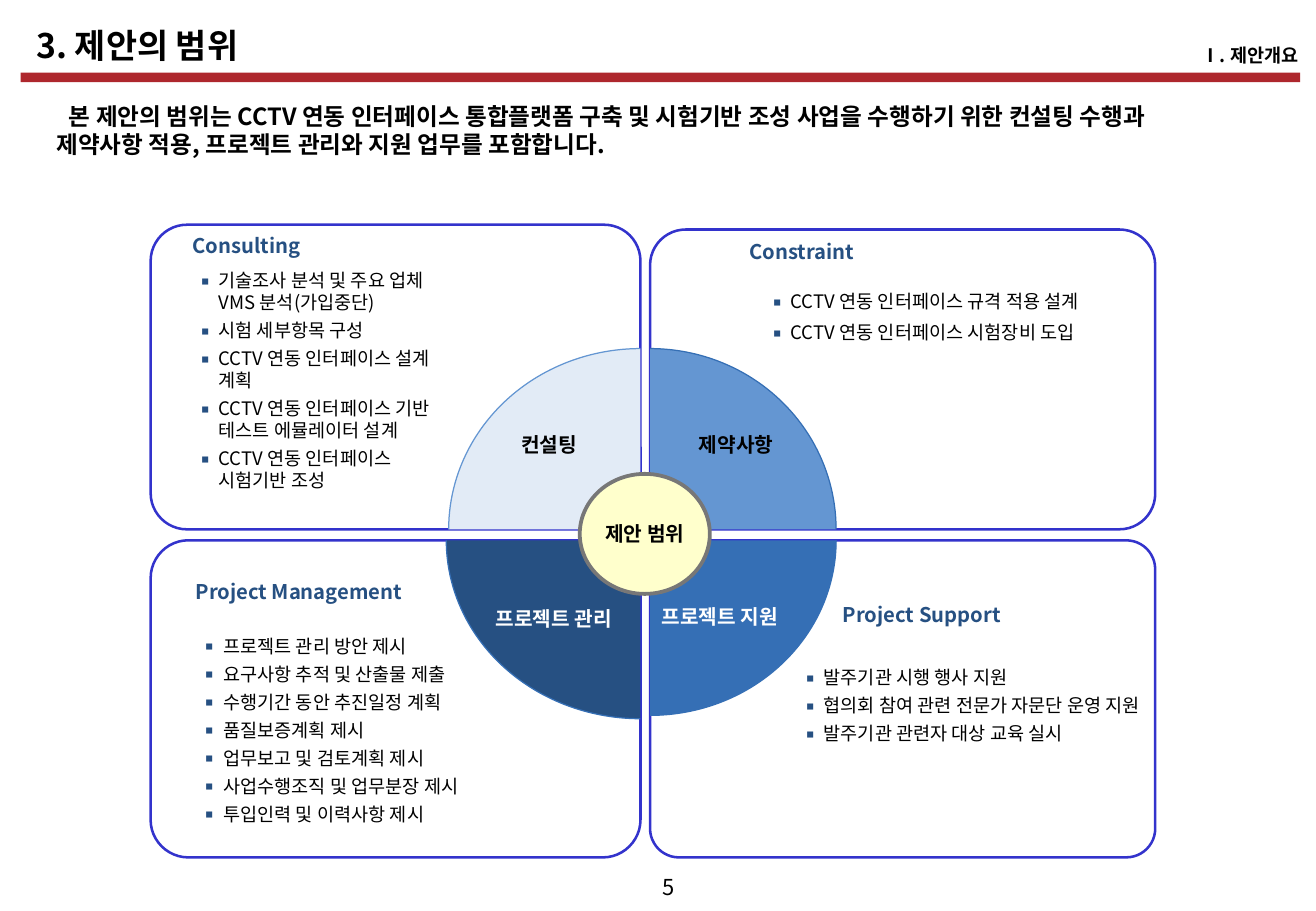
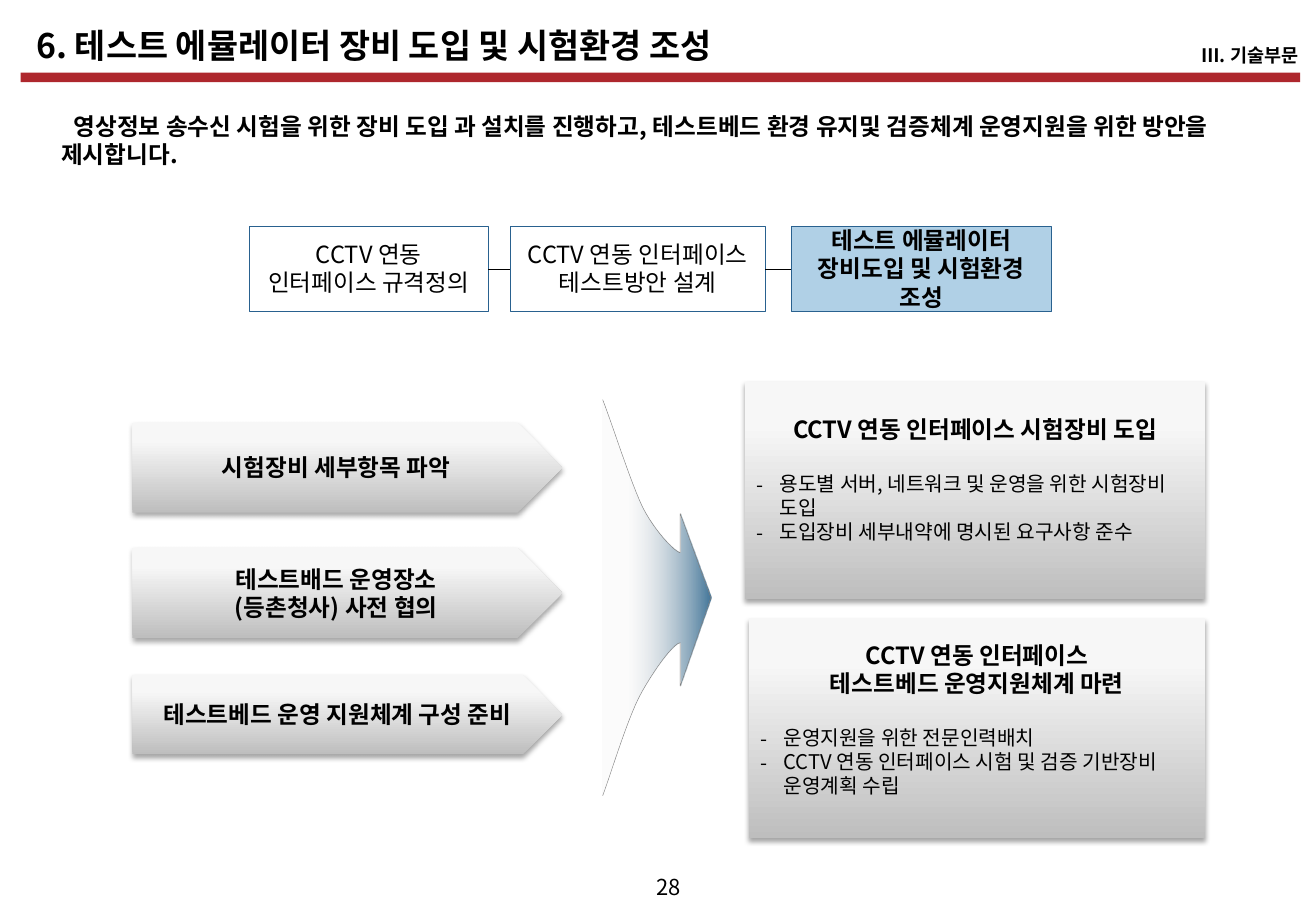
from dataclasses import dataclass
from typing import NamedTuple

from lxml import etree
from pptx import Presentation
from pptx import util as u
from pptx.dml import color as dml
from pptx.enum import shapes, text
from pptx.oxml import ns

FONT = "Noto Sans CJK KR"
LINE_PITCH = 1.185
COLORS = {
    "black": "000000", "white": "FFFFFF", "band": "AE272D", "frame": "3333CC",
    "navy": "265082", "blue": "356FB5", "sky": "6496D2", "ice": "E2EBF6",
    "hub": "FFFFCC", "hub_edge": "777777", "step_edge": "29618F", "step_now": "B0D0E6",
    "silver": "BEBEBE", "pearl": "F7F7F7", "snow": "F8F8F8",
    "mist": "D9D9D9", "steel": "417599", "funnel_edge": "808080",
}
CENTER, LEFT, RIGHT = text.PP_ALIGN.CENTER, text.PP_ALIGN.LEFT, text.PP_ALIGN.RIGHT
TOP, MIDDLE = text.MSO_ANCHOR.TOP, text.MSO_ANCHOR.MIDDLE
NO_INSET = (0, 0, 0, 0)
TEXT_INSET = (0.25, 0.13, 0.25, 0.13)
LIST_INSET = (0.2, 0.1, 0.2, 0.1)
STEP_INSET = (0.15, 0.1, 0.15, 0.12)


class Box(NamedTuple):
    left: float
    top: float
    width: float
    height: float

    def lengths(self) -> list:
        return [u.Cm(value) for value in self]


class Stop(NamedTuple):
    position: int
    color: str
    alpha: int = 100


@dataclass
class Para:
    text: str
    size: float = 12
    bold: bool = False
    color: str = "black"
    align: text.PP_ALIGN = LEFT
    spacing: float = 1.0
    before: float = 0
    margin: float = 0
    indent: float = 0
    bullet: str = ""


@dataclass
class Quadrant:
    heading: str
    heading_box: Box
    items: list
    list_box: Box
    frame: Box
    corner: float
    center: tuple
    radii: tuple
    start: int
    fill: str
    edge: str
    label: str
    label_at: tuple
    label_color: str
    spacing: float = 1.0
    before: float = 3.6


PANEL_STOPS = [Stop(0, "silver"), Stop(80, "pearl"), Stop(100, "snow")]
FUNNEL_STOPS = [Stop(23, "mist", 9), Stop(100, "steel")]

QUADRANTS = [
    Quadrant("Consulting", Box(3.78, 4.7, 7.82, 0.81),
             ["기술조사 분석 및 주요 업체 VMS 분석(가입중단)", "시험 세부항목 구성",
              "CCTV 연동 인터페이스 설계 계획", "CCTV 연동 인터페이스 기반 테스트 에뮬레이터 설계",
              "CCTV 연동 인터페이스 시험기반 조성"],
             Box(3.86, 5.54, 5.84, 5), Box(3.15, 4.7, 10.24, 6.37), 0.119,
             (13.39, 11.07), (4.01, 3.78), 180, "ice", "sky", "컨설팅", (11.48, 8.92), "black"),
    Quadrant("Constraint", Box(15.42, 4.83, 8, 0.81),
             ["CCTV 연동 인터페이스 규격 적용 설계", "CCTV 연동 인터페이스 시험장비 도입"],
             Box(15.82, 5.89, 7.98, 1.42), Box(13.59, 4.8, 10.56, 6.27), 0.119,
             (13.59, 11.07), (3.89, 3.78), 270, "sky", "blue", "제약사항", (15.39, 8.92), "black",
             1.2, 2.6),
    Quadrant("Project Management", Box(3.84, 11.95, 7.7, 0.76),
             ["프로젝트 관리 방안 제시", "요구사항 추적 및 산출물 제출", "수행기간 동안 추진일정 계획",
              "품질보증계획 제시", "업무보고 및 검토계획 제시", "사업수행조직 및 업무분장 제시",
              "투입인력 및 이력사항 제시"],
             Box(3.96, 13.18, 9.25, 4.34), Box(3.15, 11.3, 10.24, 6.63), 0.119,
             (13.39, 11.3), (4.06, 3.73), 90, "navy", "blue", "프로젝트 관리", (11.58, 12.55), "white"),
    Quadrant("Project Support", Box(17.37, 12.42, 7.16, 0.76),
             ["발주기관 시행 행사 지원", "협의회 참여 관련 전문가 자문단 운영 지원",
              "발주기관 관련자 대상 교육 실시"],
             Box(16.51, 13.84, 8.05, 1.9), Box(13.59, 11.3, 10.56, 6.63), 0.091,
             (13.59, 11.3), (3.89, 3.66), 0, "blue", "blue", "프로젝트 지원", (15.05, 12.52), "white"),
]


def rgb(name: str) -> dml.RGBColor:
    return dml.RGBColor.from_string(COLORS[name])


def add_node(parent, tag: str, **attributes):
    return etree.SubElement(parent, ns.qn(tag), {key: str(value) for key, value in attributes.items()})


def write(frame, paras: list, inset: tuple = TEXT_INSET, anchor=TOP) -> None:
    frame.word_wrap = True
    frame.auto_size = text.MSO_AUTO_SIZE.NONE
    frame.vertical_anchor = anchor
    (frame.margin_left, frame.margin_top,
     frame.margin_right, frame.margin_bottom) = [u.Cm(value) for value in inset]
    for index, para in enumerate(paras):
        line = frame.paragraphs[0] if index == 0 else frame.add_paragraph()
        line.text = para.text
        line.alignment = para.align
        line.line_spacing = u.Pt(round(para.size * LINE_PITCH * para.spacing, 1))
        line.space_before = u.Pt(para.before if index else 0)
        props = line._p.get_or_add_pPr()
        props.set("marL", str(u.Cm(para.margin)))
        props.set("indent", str(u.Cm(para.indent)))
        if para.bullet == "▪":
            add_node(add_node(props, "a:buClr"), "a:srgbClr", val=COLORS["navy"])
            add_node(props, "a:buSzPct", val=120000)
        if para.bullet:
            add_node(props, "a:buFont", typeface=FONT)
            add_node(props, "a:buChar", char=para.bullet)
        else:
            add_node(props, "a:buNone")
        font = line.font
        font.size, font.bold, font.name = u.Pt(para.size), para.bold, FONT
        font.color.rgb = rgb(para.color)
        add_node(font._rPr, "a:ea", typeface=FONT)


def add_text(slide, box: Box, paras: list, inset: tuple = TEXT_INSET, anchor=TOP) -> None:
    write(slide.shapes.add_textbox(*box.lengths()).text_frame, paras, inset, anchor)


def paint(shape, fill: str = "", edge: str = "", weight: float = 0.75) -> None:
    shape.shadow.inherit = False
    if fill:
        shape.fill.solid()
        shape.fill.fore_color.rgb = rgb(fill)
    else:
        shape.fill.background()
    if edge:
        shape.line.color.rgb = rgb(edge)
        shape.line.width = u.Pt(weight)
    else:
        shape.line.fill.background()


def add_shape(slide, kind, box: Box, fill: str = "", edge: str = "", weight: float = 0.75):
    shape = slide.shapes.add_shape(kind, *box.lengths())
    paint(shape, fill, edge, weight)
    return shape


def grade(shape, stops: list, angle: int) -> None:
    shape.fill.gradient()
    shape.fill.gradient_angle = angle
    stop_list = shape._element.spPr.find(ns.qn("a:gradFill")).find(ns.qn("a:gsLst"))
    for old in list(stop_list):
        stop_list.remove(old)
    for stop in stops:
        node = add_node(stop_list, "a:gs", pos=stop.position * 1000)
        tint = add_node(node, "a:srgbClr", val=COLORS[stop.color])
        if stop.alpha < 100:
            add_node(tint, "a:alpha", val=stop.alpha * 1000)


def add_panel(slide, kind, box: Box, paras: list, inset: tuple = TEXT_INSET, anchor=MIDDLE) -> None:
    panel = add_shape(slide, kind, box)
    grade(panel, PANEL_STOPS, 90)
    effects = panel._element.spPr.find(ns.qn("a:effectLst"))
    shadow = add_node(effects, "a:outerShdw", blurRad=u.Pt(3.1), dist=u.Pt(1.8),
                      dir=5400000, rotWithShape=0)
    add_node(add_node(shadow, "a:srgbClr", val=COLORS["black"]), "a:alpha", val=35000)
    write(panel.text_frame, paras, inset, anchor)


def start_slide(deck, title: str, section: str, page: str, intro: list, intro_box: Box):
    slide = deck.slides.add_slide(deck.slide_layouts[1])
    heading, body = slide.shapes.title, slide.placeholders[1]
    for holder, box in ((heading, Box(0.76, 0.51, 19.4, 0.86)), (body, intro_box)):
        holder.left, holder.top, holder.width, holder.height = box.lengths()
    write(heading.text_frame, [Para(title, 20, True)], NO_INSET, MIDDLE)
    write(body.text_frame, [Para(line, 14, True, indent=0 if index else 0.26)
                            for index, line in enumerate(intro)], NO_INSET)
    add_text(slide, Box(15.5, 0.91, 11.65, 0.48), [Para(section, 11, True, align=RIGHT)],
             NO_INSET, MIDDLE)
    add_text(slide, Box(13.41, 18.26, 1.15, 0.56), [Para(page, 13, align=CENTER)], NO_INSET, MIDDLE)
    return slide


def add_band(slide) -> None:
    band = add_shape(slide, shapes.MSO_SHAPE.RECTANGLE, Box(0.43, 1.52, 26.75, 0.2), "band")
    slide.slide_layout.shapes._spTree.append(band._element)


def add_quadrant(slide, part: Quadrant) -> None:
    frame = add_shape(slide, shapes.MSO_SHAPE.ROUNDED_RECTANGLE, part.frame, "", "frame", 1.5)
    frame.adjustments[0] = part.corner
    (x, y), (rx, ry) = part.center, part.radii
    wedge = add_shape(slide, shapes.MSO_SHAPE.ARC, Box(x - rx, y - ry, 2 * rx, 2 * ry),
                      part.fill, part.edge)
    wedge.adjustments[0] = part.start * 0.6
    wedge.adjustments[1] = (part.start + 90) % 360 * 0.6
    add_text(slide, part.heading_box, [Para(part.heading, 12, True, "navy", spacing=1.1)])
    add_text(slide, part.list_box,
             [Para(item, 11, spacing=part.spacing, before=part.before,
                   margin=0.51, indent=-0.51, bullet="▪") for item in part.items], LIST_INSET)
    label_x, label_y = part.label_at
    add_text(slide, Box(label_x - 2, label_y, 4, 0.76),
             [Para(part.label, 12, True, part.label_color, CENTER)])


def build_scope(deck) -> None:
    slide = start_slide(
        deck, "3. 제안의 범위", "Ⅰ. 제안개요", "5",
        ["본 제안의 범위는 CCTV 연동 인터페이스 통합플랫폼 구축 및 시험기반 조성 사업을 수행하기 위한 컨설팅 수행과",
         "제약사항 적용, 프로젝트 관리와 지원 업무를 포함합니다."], Box(1.18, 2.13, 24.6, 1.19))
    add_band(slide)
    for part in QUADRANTS:
        add_quadrant(slide, part)
    hub = add_shape(slide, shapes.MSO_SHAPE.OVAL, Box(12.12, 9.91, 2.72, 2.51), "hub", "hub_edge", 2.25)
    write(hub.text_frame, [Para("제안 범위", 12, True, align=CENTER)], NO_INSET, MIDDLE)


def add_steps(slide) -> None:
    steps = [
        (5.21, 5, ["CCTV 연동", "인터페이스 규격정의"], False),
        (10.67, 5.33, ["CCTV 연동 인터페이스", "테스트방안 설계"], False),
        (16.54, 5.44, ["테스트 에뮬레이터 장비도입 및 시험환경 조성"], True),
    ]
    previous = None
    for left, width, lines, current in steps:
        step = add_shape(slide, shapes.MSO_SHAPE.RECTANGLE, Box(left, 4.74, width, 1.78),
                         "step_now" if current else "", "step_edge", 0.5)
        write(step.text_frame, [Para(line, 14, current, align=CENTER) for line in lines],
              STEP_INSET, MIDDLE)
        if previous is not None:
            link = slide.shapes.add_connector(shapes.MSO_CONNECTOR.STRAIGHT, 0, 0, 0, 0)
            link.begin_connect(previous, 3)
            link.end_connect(step, 1)
            link.line.color.rgb = rgb("black")
            link.line.width = u.Pt(0.75)
            add_node(link._element.spPr, "a:effectLst")
        previous = step


def curve(p0: tuple, p1: tuple, p2: tuple, p3: tuple, count: int = 12) -> list:
    points = []
    for index in range(1, count + 1):
        t = index / count
        weights = ((1 - t) ** 3, 3 * t * (1 - t) ** 2, 3 * t * t * (1 - t), t ** 3)
        points.append(tuple(sum(w * p[axis] for w, p in zip(weights, (p0, p1, p2, p3)))
                            for axis in (0, 1)))
    return points


def add_funnel(slide) -> None:
    start = (12.6, 16.64)
    outline = curve(start, (12.73, 16.31), (13.08, 15.14), (13.36, 14.58))
    outline += curve(outline[-1], (13.64, 14.05), (14.07, 13.46), (14.22, 13.44))
    outline += [(14.22, 14.35), (14.86, 12.5), (14.22, 10.74), (14.22, 11.56)]
    outline += curve(outline[-1], (14.1, 11.53), (13.72, 11.15), (13.44, 10.62))
    outline += curve(outline[-1], (13.18, 10.08), (12.78, 8.81), (12.6, 8.36))
    builder = slide.shapes.build_freeform(u.Cm(start[0]), u.Cm(start[1]))
    builder.add_line_segments([(u.Cm(x), u.Cm(y)) for x, y in outline], close=False)
    funnel = builder.convert_to_shape()
    paint(funnel, "", "funnel_edge", 0.25)
    grade(funnel, FUNNEL_STOPS, 0)


def build_equipment(deck) -> None:
    slide = start_slide(
        deck, "6. 테스트 에뮬레이터 장비 도입 및 시험환경 조성", "Ⅲ. 기술부문", "28",
        ["영상정보 송수신 시험을 위한 장비 도입 과 설치를 진행하고, 테스트베드 환경 유지및 검증체계 "
         "운영지원을 위한 방안을 제시합니다."], Box(1.28, 2.34, 24.88, 1.19))
    add_steps(slide)
    add_funnel(slide)
    results = [
        (Box(15.57, 7.98, 9.63, 4.55), 0.7, ["CCTV 연동 인터페이스 시험장비 도입"],
         ["용도별 서버, 네트워크 및 운영을 위한 시험장비 도입", "도입장비 세부내약에 명시된 요구사항 준수"]),
        (Box(15.65, 12.93, 9.55, 4.6), 0.47, ["CCTV 연동 인터페이스", "테스트베드 운영지원체계 마련"],
         ["운영지원을 위한 전문인력배치", "CCTV 연동 인터페이스 시험 및 검증 기반장비 운영계획 수립"]),
    ]
    for box, top, heads, items in results:
        paras = [Para(head, 14, True, align=CENTER) for head in heads]
        paras += [Para(item, 12, before=0 if index else 17, margin=0.48, indent=-0.48, bullet="-")
                  for index, item in enumerate(items)]
        add_panel(slide, shapes.MSO_SHAPE.RECTANGLE, box, paras, (0.25, top, 0.25, 0.13), TOP)
    inputs = [
        (8.84, 1.88, ["시험장비 세부항목 파악"]),
        (11.46, 1.88, ["테스트배드 운영장소", "(등촌청사) 사전 협의"]),
        (14.12, 1.65, ["테스트베드 운영 지원체계 구성 준비"]),
    ]
    for top, height, lines in inputs:
        add_panel(slide, shapes.MSO_SHAPE.PENTAGON, Box(2.77, top, 8.99, height),
                  [Para(line, 14, True, align=CENTER) for line in lines])


def main() -> None:
    deck = Presentation()
    deck.slide_width, deck.slide_height = u.Cm(27.51), u.Cm(19.05)
    build_scope(deck)
    build_equipment(deck)
    deck.save("out.pptx")


if __name__ == "__main__":
    main()
